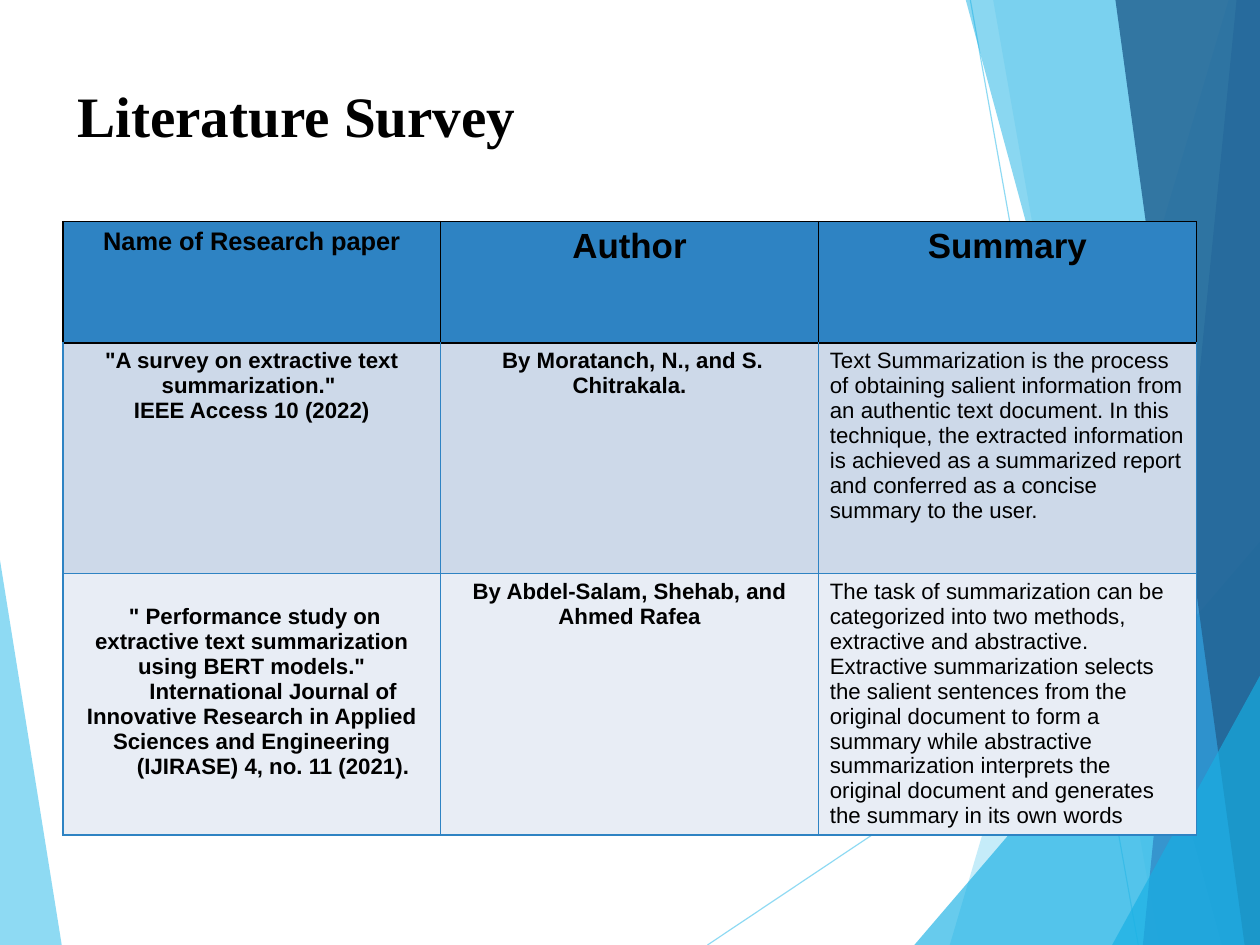
from dataclasses import dataclass

from lxml.etree import SubElement
from pptx import Presentation
from pptx.dml.color import RGBColor
from pptx.enum.shapes import MSO_CONNECTOR as Connector
from pptx.enum.text import MSO_ANCHOR as Anchor, MSO_AUTO_SIZE as AutoSize, PP_ALIGN as Align
from pptx.oxml.ns import qn
from pptx.util import Pt

WIDTH, HEIGHT = 793.75, 595.25
RIGHT = 794.2
BLACK, SKY, CYAN, BLUE, NAVY = "000000", "5FCBEF", "17B0E4", "2E83C3", "236292"
HEADER_FILL, ROW_FILLS = BLUE, ("CDD9E9", "E8EDF5")
COLUMN_WIDTH = 238
ROW_HEIGHTS = (76.5, 145, 165)


@dataclass(frozen=True)
class Facet:
    color: str
    alpha: int
    points: tuple[tuple[float, float], ...]


@dataclass(frozen=True)
class Ray:
    start: tuple[float, float]
    end: tuple[float, float]


@dataclass(frozen=True)
class Line:
    text: str
    size: float = 14
    bold: bool = True
    align: Align = Align.CENTER
    indent: float = 0


@dataclass(frozen=True)
class Entry:
    lines: tuple[Line, ...]
    top_margin: float = 3.6


def summary(text: str) -> Entry:
    return Entry((Line(text, bold=False, align=Align.LEFT),))


def right_band(color: str, alpha: int, top: float, bottom: float) -> Facet:
    """A full-height band whose slanted left edge runs from top to bottom."""
    return Facet(color, alpha, ((top, 0), (bottom, HEIGHT), (RIGHT, HEIGHT), (RIGHT, 0)))


def right_corner(left: float, top: float) -> Facet:
    return Facet(CYAN, 65, ((left, HEIGHT), (RIGHT, top), (RIGHT, HEIGHT)))


LEFT_FACET = Facet(SKY, 70, ((-0.7, 348.5), (38.9, HEIGHT), (-0.7, HEIGHT)))
RAYS = (
    Ray((445.7, HEIGHT), (RIGHT, 362.2)),
    Ray((611.3, 0), (717.1, HEIGHT)),
)
RIGHT_FACETS = (
    right_band(SKY, 36, 774, 598.3),
    right_band(SKY, 20, 625.7, 730.1),
    right_corner(576, 340.6),
    right_band(CYAN, 50, 608.4, 769.7),
    right_band(BLUE, 70, 779, 720),
    right_band(NAVY, 82, 702.7, 784.1),
    right_corner(700.6, 424.8),
)

ROWS = (
    (
        Entry((Line("Name of Research paper", 16),)),
        Entry((Line("Author", 22),)),
        Entry((Line("Summary", 22),)),
    ),
    (
        Entry((
            Line('"A survey on extractive text summarization." '),
            Line("IEEE Access 10 (2022)"),
        )),
        Entry((Line("By Moratanch, N., and S. Chitrakala.", indent=4),)),
        summary(
            "Text Summarization is the process of obtaining salient information from an "
            "authentic text document. In this technique, the extracted information is "
            "achieved as a summarized report and conferred as a concise summary to the user."
        ),
    ),
    (
        Entry((
            Line('" Performance study on extractive text summarization using BERT models."',
                 indent=4),
            Line("International Journal of Innovative Research in Applied Sciences and "
                 "Engineering", indent=27),
            Line("(IJIRASE) 4, no. 11 (2021).", indent=27),
        ), top_margin=19.4),
        Entry((Line("By Abdel-Salam, Shehab, and Ahmed Rafea"),)),
        summary(
            "The task of summarization can be categorized into two methods, extractive and "
            "abstractive. Extractive summarization selects the salient sentences from the "
            "original document to form a summary while abstractive summarization interprets "
            "the original document and generates the summary in its own words"
        ),
    ),
)


def paint(fill, color: str) -> None:
    fill.solid()
    fill.fore_color.rgb = RGBColor.from_string(color)


def fade(element, alpha: int) -> None:
    for color in element.iter(qn("a:srgbClr")):
        SubElement(color, qn("a:alpha"), val=str(alpha * 1000))


def draw_facet(page, facet: Facet) -> None:
    start, *rest = [(Pt(x), Pt(y)) for x, y in facet.points]
    builder = page.shapes.build_freeform(*start)
    builder.add_line_segments(rest)
    shape = builder.convert_to_shape()
    shape.shadow.inherit = False
    shape.line.fill.background()
    paint(shape.fill, facet.color)
    fade(shape.element, facet.alpha)


def draw_ray(page, ray: Ray) -> None:
    line = page.shapes.add_connector(
        Connector.STRAIGHT, *(Pt(value) for value in ray.start + ray.end))
    line.line.width = Pt(0.75)
    paint(line.line.fill, SKY)
    fade(line.element, 70)
    SubElement(line.element.spPr, qn("a:effectLst"))


def write_line(para, line: Line) -> None:
    para.text = line.text
    para.alignment = line.align
    para.font.name = "Arial"
    para.font.size = Pt(line.size)
    para.font.bold = line.bold
    paint(para.font.fill, BLACK)
    if line.indent:
        para._p.get_or_add_pPr().set("indent", str(Pt(line.indent)))


def draw_borders(cell, color: str, top_color: str) -> None:
    properties = cell._tc.get_or_add_tcPr()
    for side in "LRTB":
        border = SubElement(properties, qn(f"a:ln{side}"), w=str(Pt(1)))
        solid = SubElement(border, qn("a:solidFill"))
        SubElement(solid, qn("a:srgbClr"), val=top_color if side == "T" else color)


def fill_cell(cell, entry: Entry, row: int) -> None:
    draw_borders(cell, BLUE if row else BLACK, BLUE if row > 1 else BLACK)
    paint(cell.fill, ROW_FILLS[row - 1] if row else HEADER_FILL)
    cell.margin_top = Pt(entry.top_margin)
    frame = cell.text_frame
    for index, line in enumerate(entry.lines):
        write_line(frame.add_paragraph() if index else frame.paragraphs[0], line)


def draw_table(page) -> None:
    columns = len(ROWS[0])
    table = page.shapes.add_table(
        len(ROWS), columns, Pt(39.6), Pt(139.6),
        Pt(COLUMN_WIDTH * columns), Pt(sum(ROW_HEIGHTS))).table
    for column in table.columns:
        column.width = Pt(COLUMN_WIDTH)
    for row, (height, entries) in enumerate(zip(ROW_HEIGHTS, ROWS)):
        table.rows[row].height = Pt(height)
        for column, entry in enumerate(entries):
            fill_cell(table.cell(row, column), entry, row)


def write_title(page) -> None:
    title = page.shapes.title
    title.left, title.top, title.width, title.height = Pt(39.6), Pt(23.8), Pt(714.3), Pt(99.4)
    frame = title.text_frame
    frame.auto_size = AutoSize.NONE
    frame.word_wrap = True
    frame.vertical_anchor = Anchor.MIDDLE
    frame.margin_left, frame.margin_top = Pt(9), Pt(2)
    frame.margin_right = frame.margin_bottom = Pt(0)
    para = frame.paragraphs[0]
    para.text = "Literature Survey"
    para.alignment = Align.LEFT
    para.line_spacing = 0.93
    para.font.name = "Times New Roman"
    para.font.size = Pt(36)
    para.font.bold = True
    paint(para.font.fill, BLACK)
    page.shapes._spTree.append(title.element)  # bring in front of the facets


def main() -> None:
    deck = Presentation()
    deck.slide_width, deck.slide_height = Pt(WIDTH), Pt(HEIGHT)
    page = deck.slides.add_slide(deck.slide_layouts[5])
    # Background facets
    draw_facet(page, LEFT_FACET)
    for ray in RAYS:
        draw_ray(page, ray)
    for facet in RIGHT_FACETS:
        draw_facet(page, facet)
    # Content
    write_title(page)
    draw_table(page)
    deck.save("out.pptx")


if __name__ == "__main__":
    main()
